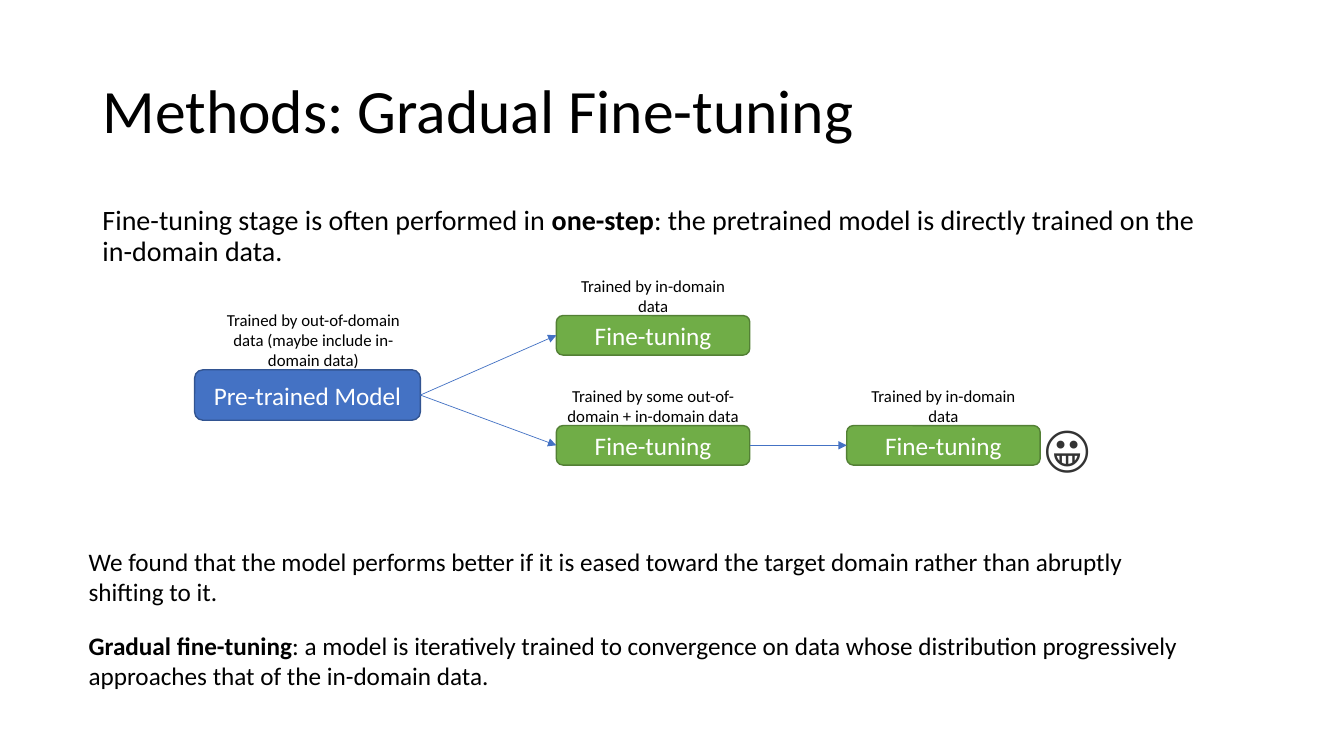
from lxml.etree import SubElement
from pptx import Presentation
from pptx.dml.color import RGBColor
from pptx.enum.shapes import MSO_CONNECTOR as Connector, MSO_SHAPE as Preset
from pptx.enum.text import MSO_ANCHOR as Anchor, MSO_AUTO_SIZE as AutoSize, PP_ALIGN as Align
from pptx.oxml.ns import qn
from pptx.util import Pt

COLORS = {
    "text": "000000",
    "white": "FFFFFF",
    "emoji": "333333",
    "blue": "4472C4",
    "blue_edge": "325491",
    "green": "70AD47",
    "green_edge": "538035",
}


def color(name):
    return RGBColor.from_string(COLORS[name])


class SlideBuilder:
    font = "Calibri"

    def __init__(self, slide):
        self.slide = slide

    def add_runs(self, shape, runs, size, ink="text", align=Align.LEFT, font=None):
        paragraph = shape.text_frame.paragraphs[0]
        paragraph.alignment = align
        for text, bold in runs:
            run = paragraph.add_run()
            run.text = text
            run.font.name = font or self.font
            run.font.size = Pt(size)
            run.font.bold = bold
            run.font.color.rgb = color(ink)
        return paragraph

    def placeholder(self, index, box, runs, size, anchor):
        shape = self.slide.placeholders[index]
        shape.left, shape.top, shape.width, shape.height = map(Pt, box)
        frame = shape.text_frame
        frame.auto_size = AutoSize.NONE
        frame.vertical_anchor = anchor
        paragraph = self.add_runs(shape, runs, size)
        paragraph.line_spacing = 0.9
        return paragraph

    def title(self, text, box):
        self.placeholder(0, box, [(text, False)], 44, Anchor.MIDDLE)

    def body(self, runs, box):
        paragraph = self.placeholder(1, box, runs, 20, Anchor.TOP)
        paragraph.space_before = Pt(10)
        properties = paragraph._p.get_or_add_pPr()
        properties.set("marL", "0")
        properties.set("indent", "0")
        SubElement(properties, qn("a:buNone"))

    def text(self, runs, box, size, **style):
        shape = self.slide.shapes.add_textbox(*map(Pt, box))
        shape.text_frame.word_wrap = True
        self.add_runs(shape, runs, size, **style)

    def stage(self, text, box, fill):
        shape = self.slide.shapes.add_shape(Preset.ROUNDED_RECTANGLE, *map(Pt, box))
        shape.shadow.inherit = False
        shape.fill.solid()
        shape.fill.fore_color.rgb = color(fill)
        shape.line.color.rgb = color(fill + "_edge")
        shape.line.width = Pt(1)
        shape.text_frame.vertical_anchor = Anchor.MIDDLE
        shape.text_frame.word_wrap = True
        self.add_runs(shape, [(text, False)], 18, "white", Align.CENTER)
        return shape

    def caption(self, text, box):
        self.text([(text, False)], box, 12, align=Align.CENTER)

    def arrow(self, source, target):
        left_site, right_site = 1, 3
        connector = self.slide.shapes.add_connector(Connector.STRAIGHT, 0, 0, 0, 0)
        connector.begin_connect(source, right_site)
        connector.end_connect(target, left_site)
        connector.line.color.rgb = color("blue")
        connector.line.width = Pt(0.5)
        properties = connector._element.spPr
        SubElement(properties.find(qn("a:ln")), qn("a:tailEnd"), type="triangle")
        SubElement(properties, qn("a:effectLst"))


presentation = Presentation()
presentation.slide_width, presentation.slide_height = Pt(960), Pt(540)
builder = SlideBuilder(presentation.slides.add_slide(presentation.slide_layouts[1]))

builder.title("Methods: Gradual Fine-tuning", (66, 28.8, 828, 104.4))
builder.body([
    ("Fine-tuning stage is often performed in ", False),
    ("one-step", True),
    (": the pretrained model is directly trained on the in-domain data.", False),
], (66, 144, 817, 54))

pretrained = builder.stage("Pre-trained Model", (139, 264.2, 161.3, 36), "blue")
builder.caption("Trained by out-of-domain data (maybe include in-domain data)",
                (154.8, 217.4, 138.2, 51))

STAGE_WIDTH, STAGE_HEIGHT, CAPTION_RISE = 138.2, 28.2, 32
fine_tuning = []
for left, top, caption, caption_width in [
    (397.4, 225.4, "Trained by in-domain data", 123),
    (397.4, 304, "Trained by some out-of-domain + in-domain data", 165),
    (604.8, 304, "Trained by in-domain data", 123),
]:
    fine_tuning.append(
        builder.stage("Fine-tuning", (left, top, STAGE_WIDTH, STAGE_HEIGHT), "green"))
    caption_left = left + (STAGE_WIDTH - caption_width) / 2
    builder.caption(caption, (caption_left, top - CAPTION_RISE, caption_width, 36))

one_step, gradual, final = fine_tuning
for source, target in [(pretrained, one_step), (pretrained, gradual), (gradual, final)]:
    builder.arrow(source, target)

builder.text([("😀", False)], (738.7, 293.8, 81.4, 51), 36, ink="emoji", font="Cabin")

for top, runs in [
    (386.6, [("We found that the model performs better if it is eased toward the target "
              "domain rather than abruptly shifting to it.", False)]),
    (446.4, [("Gradual fine-tuning", True),
             (": a model is iteratively trained to convergence on data whose distribution "
              "progressively approaches that of the in-domain data.", False)]),
]:
    builder.text(runs, (56.2, top, 807, 51), 18)

presentation.save("out.pptx")
